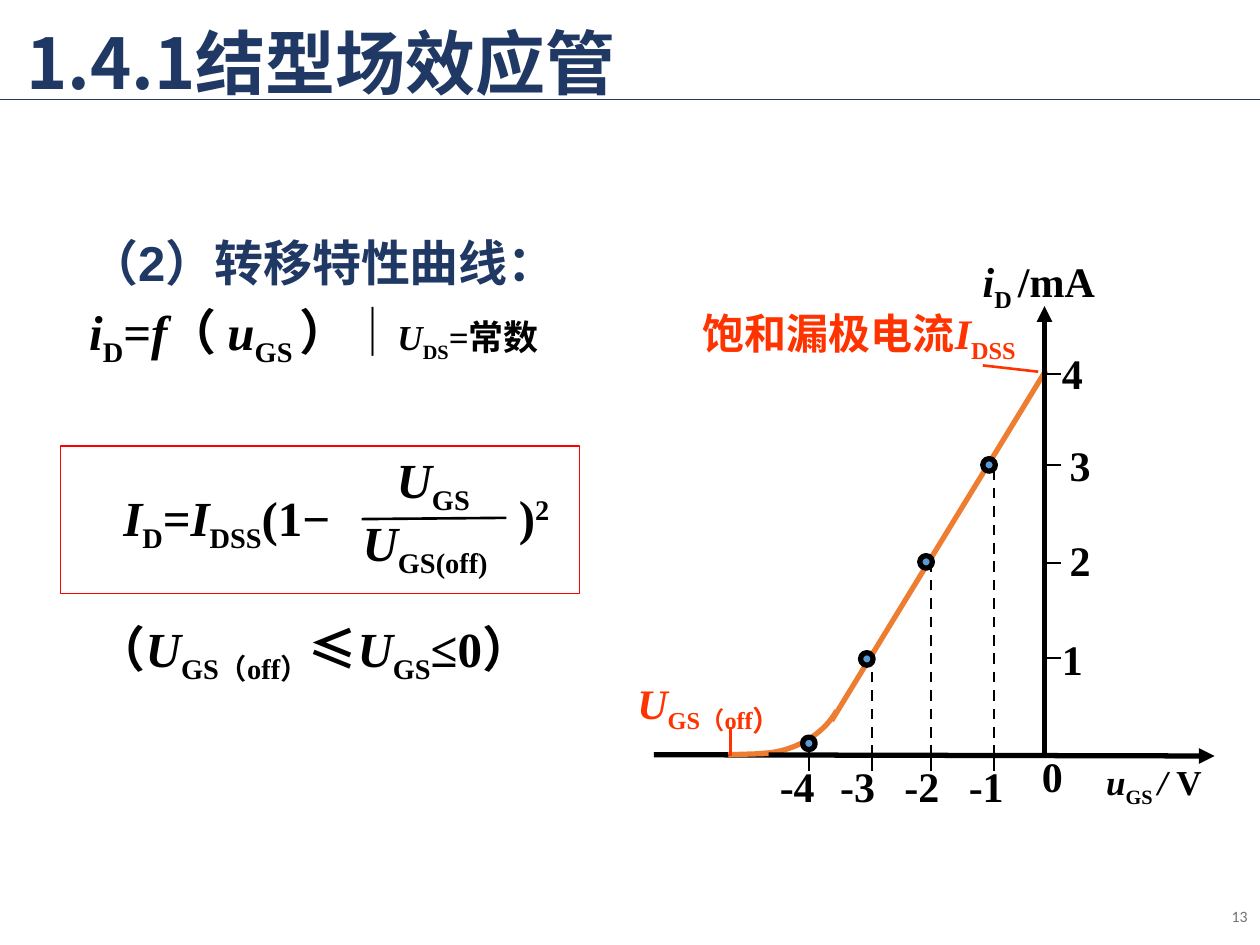
from typing import NamedTuple

from lxml.etree import SubElement as Sub
from pptx import Presentation
from pptx.dml.color import RGBColor
from pptx.enum.dml import MSO_LINE
from pptx.enum.shapes import MSO_CONNECTOR as Conn, MSO_SHAPE as Geom
from pptx.enum.text import MSO_ANCHOR as Anchor, PP_ALIGN as Align
from pptx.oxml.ns import qn
from pptx.util import Inches, Pt

NAVY, BLACK, RED, ORANGE = "203864", "000000", "FF3300", "ED7D31"
SERIF, SANS = "Times New Roman", "Noto Sans CJK SC"


class Spot(NamedTuple):
    """A marked point of the curve, with its tick and label on the u axis."""
    text: str
    x: float
    y: float
    left: float


class Tick(NamedTuple):
    """A tick and its label on the i axis."""
    text: str
    y: float
    left: float
    top: float


SPOTS = [
    Spot("-1", 7.89, 3.69, 7.59),
    Spot("-2", 7.39, 4.46, 7.08),
    Spot("-3", 6.92, 5.23, 6.57),
    Spot("-4", 6.42, 5.9, 6.09),
]
TICKS = [
    Tick("4", 2.97, 8.33, 2.71),
    Tick("3", 3.69, 8.39, 3.44),
    Tick("2", 4.47, 8.39, 4.19),
    Tick("1", 5.22, 8.33, 4.98),
]

prs = Presentation()
prs.slide_width, prs.slide_height = Inches(10), Inches(7.5)
slide = prs.slides.add_slide(prs.slide_layouts[6])
shapes = slide.shapes


def rgb(code: str) -> RGBColor:
    return RGBColor.from_string(code)


def line(x1: float, y1: float, x2: float, y2: float, color: str = BLACK,
         width: float = 1, dash: bool = False, arrow: bool = False) -> None:
    item = shapes.add_connector(
        Conn.STRAIGHT, Inches(x1), Inches(y1), Inches(x2), Inches(y2))
    item.line.color.rgb = rgb(color)
    item.line.width = Pt(width)
    if dash:
        item.line.dash_style = MSO_LINE.DASH
    if arrow:
        Sub(item.line._get_or_add_ln(), qn("a:tailEnd"), type="triangle")
    Sub(item._element.spPr, qn("a:effectLst"))


def shape(geom: Geom, x: float, y: float, w: float, h: float,
          color: str, width: float, fill: str = "") -> None:
    item = shapes.add_shape(geom, Inches(x), Inches(y), Inches(w), Inches(h))
    item.shadow.inherit = False
    if fill:
        item.fill.solid()
        item.fill.fore_color.rgb = rgb(fill)
    else:
        item.fill.background()
    item.line.color.rgb = rgb(color)
    item.line.width = Pt(width)


def curve(pts: list[tuple[float, float]], steps: int = 20) -> None:
    """Draw a cubic Bezier from its four control points."""
    (ax, ay), (bx, by), (cx, cy), (dx, dy) = pts

    def mix(a: float, b: float, c: float, d: float, t: float) -> float:
        s = 1 - t
        return s**3 * a + 3 * s * s * t * b + 3 * s * t * t * c + t**3 * d

    dots = [(Inches(mix(ax, bx, cx, dx, n / steps)),
             Inches(mix(ay, by, cy, dy, n / steps))) for n in range(steps + 1)]
    path = shapes.build_freeform(*dots[0])
    path.add_line_segments(dots[1:], close=False)
    item = path.convert_to_shape()
    item.shadow.inherit = False
    item.fill.background()
    item.line.color.rgb = rgb(ORANGE)
    item.line.width = Pt(3)


def write(para, *runs: str, size: float = 24, font: str = SERIF,
          color: str = BLACK, bold: bool = True) -> None:
    """Add runs; a first ~ makes one italic, _ a subscript, ^ a superscript."""
    for run in runs:
        mark = run[0] if run[0] in "~_^" else ""
        part = para.add_run()
        part.text = run[len(mark):]
        face = part.font
        face.size, face.name, face.bold = Pt(size), font, bold
        face.italic = mark == "~"
        face.color.rgb = rgb(color)
        props = part._r.get_or_add_rPr()
        Sub(props, qn("a:ea"), typeface=SANS)
        if mark in ("_", "^"):
            props.set("baseline", "-25000" if mark == "_" else "30000")


def text(x: float, y: float, w: float, h: float, *runs: str,
         wrap: bool = True, align: Align = Align.LEFT,
         anchor: Anchor = Anchor.TOP, space: float = 1, **style):
    """Add a text box and return its frame."""
    frame = shapes.add_textbox(
        Inches(x), Inches(y), Inches(w), Inches(h)).text_frame
    frame.word_wrap = wrap
    frame.vertical_anchor = anchor
    para = frame.paragraphs[0]
    para.alignment = align
    para.line_spacing = space
    write(para, *runs, **style)
    return frame


def plot() -> None:
    line(8.3, 2.94, 6.6, 5.72, ORANGE, 3)
    curve([(6.02, 5.98), (6.28, 5.98), (6.53, 5.84), (6.64, 5.64)])
    line(8.29, 6.01, 8.29, 2.43, width=3, arrow=True)
    line(5.19, 5.99, 9.64, 6, width=3, arrow=True)
    for tick in TICKS:
        line(8.29, tick.y, 8.42, tick.y)
        text(tick.left, tick.top, 0.5, 0.5, tick.text)
    text(7.7, 1.98, 1.19, 0.5, "~i", "_D ", "/mA", wrap=False)
    text(8.68, 5.99, 1.03, 0.44, "~u", "_GS ", "~/ ", "V", wrap=False, size=20)
    text(8.17, 5.91, 0.5, 0.5, "0")
    for spot in SPOTS:
        line(spot.x, 6, spot.x, 6.12)
        text(spot.left, 5.99, 0.48, 0.5, spot.text, wrap=False)
        line(spot.x, 6, spot.x, spot.y, width=1.5, dash=True)
    for spot in SPOTS:
        shape(Geom.OVAL, spot.x - 0.09 + 0.04 * (spot.text == "-4"),
              spot.y - 0.05, 0.1, 0.1, BLACK, 3, fill="5B9BD5")
    line(5.78, 5.99, 6.1, 5.98, ORANGE, 3)
    line(5.8, 6, 5.8, 5.77, RED, 1.5)
    box = text(4.96, 5.27, 2.79, 0.5, "~U", "_GS（off", color=RED)
    write(box.paragraphs[0], "_）", size=28, color=RED)
    line(7.8, 2.9, 8.24, 2.95, RED, 1.5)
    text(5.48, 2.39, 3.14, 0.5, "饱和漏极电流", "~I", "_DSS", color=RED)


def formula() -> None:
    text(2.78, 4.02, 1.4, 0.57, "~U", "_GS(off)", size=28)
    text(3.05, 3.52, 0.97, 0.65, "~U", "_GS", size=28)
    line(2.87, 4.12, 4.02, 4.11, width=1.5)
    text(0.88, 3.82, 2.21, 0.8, "~I", "_D", "=", "~I", "_DSS", "(1−", size=28)
    text(4.02, 3.81, 0.88, 0.65, ")", "^2", size=28)
    text(0.67, 4.86, 4.58, 0.57, "（", "~U", "_GS（off）", "≤", "~U", "_GS",
         "≤0）", size=28)
    shape(Geom.RECTANGLE, 0.48, 3.54, 4.12, 1.17, "FF0000", 1)


def heading() -> None:
    line(0, 0.79, 10, 0.79, NAVY)
    text(0.11, -0.02, 8.5, 1.1, "1.4.1结型场效应管", size=40, font=SANS,
         color=NAVY, anchor=Anchor.MIDDLE, space=0.9)
    text(7.75, 7.07, 2.25, 0.4, "13", size=9, font="Calibri", color="767171",
         bold=False, align=Align.RIGHT, anchor=Anchor.MIDDLE)
    frame = text(0.61, 1.8, 4.65, 0.67, "（2）转移特性曲线：", size=28,
                 font="Arial", color=NAVY)
    para = frame.add_paragraph()
    para.space_before = Pt(5.6)
    write(para, "~i", "_D", "=", "~f", "（ ", "~u", "_GS ", "）│", size=28)
    write(para, "~U", "_DS", "=常数", size=20)
    for para in frame.paragraphs:
        props = para._p.get_or_add_pPr()
        props.set("marL", str(Inches(0.38)))
        props.set("indent", str(Inches(-0.38)))


heading()
plot()
formula()
prs.save("out.pptx")
